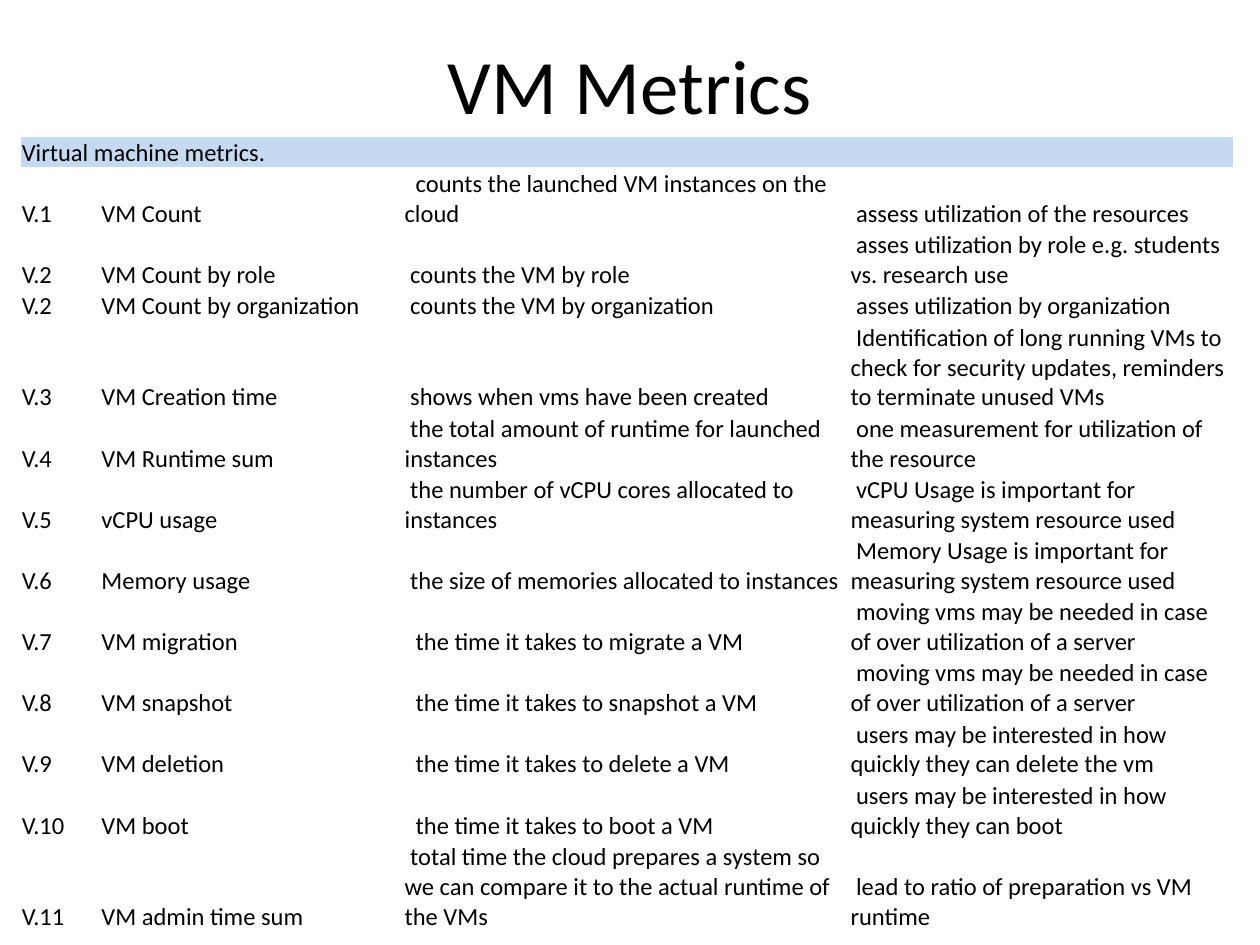
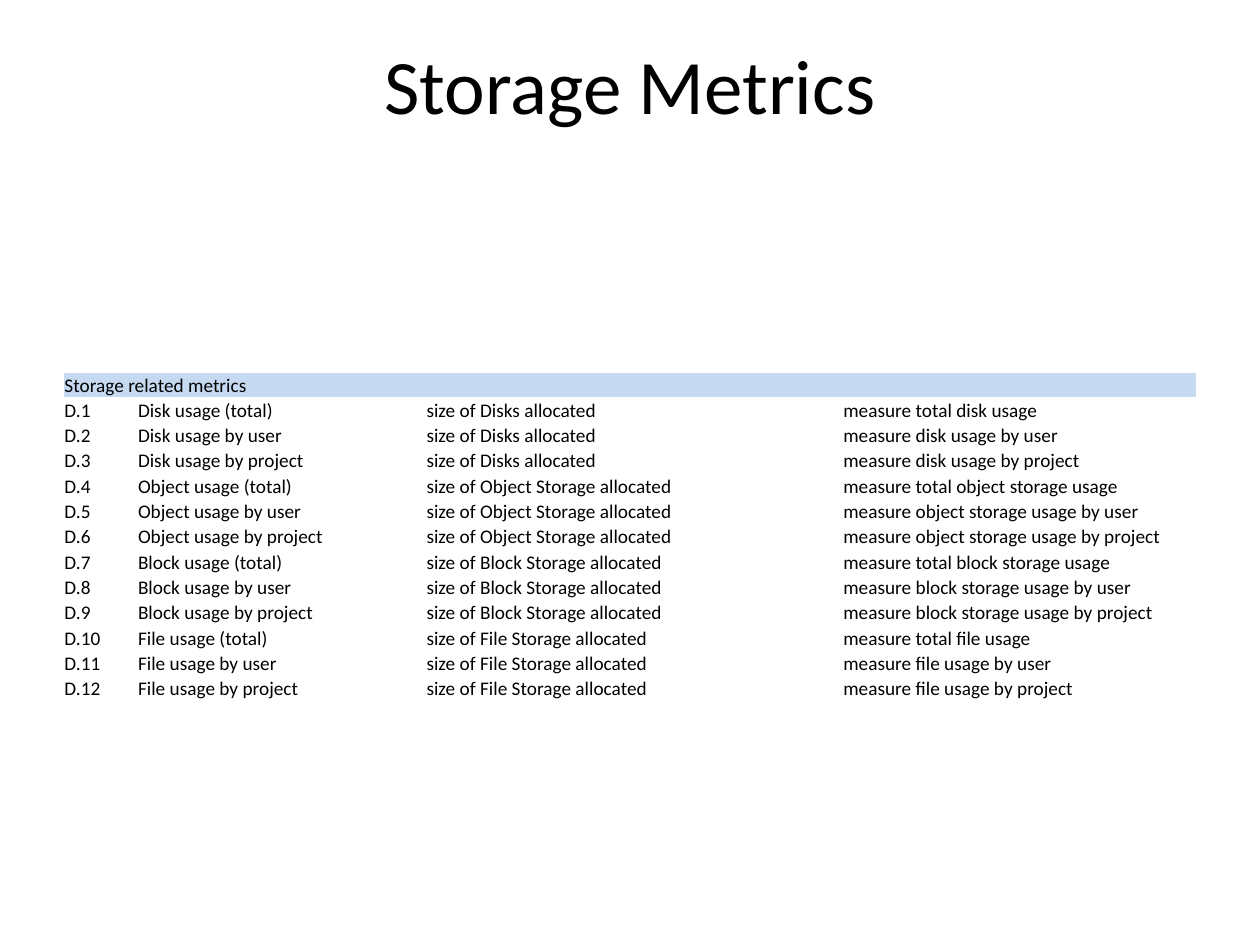
"""Build two slides listing virtual machine and storage metrics."""
from itertools import product

from pptx import Presentation
from pptx.dml.color import RGBColor
from pptx.enum.text import MSO_ANCHOR, PP_ALIGN
from pptx.util import Cm, Pt

BLACK = RGBColor(0x00, 0x00, 0x00)
BAND_BLUE = RGBColor(0xC5, 0xD9, 0xF1)
BOTTOM, MIDDLE = MSO_ANCHOR.BOTTOM, MSO_ANCHOR.MIDDLE
CENTER = PP_ALIGN.CENTER
TITLE_ONLY = 5
COLUMN_SHARES = (0.061, 0.2545, 0.3675, 0.317)
SPACE_EM = 0.226

VM_METRICS = [
    ("V.1", "VM Count", "counts the launched VM instances on the cloud",
     "assess utilization of the resources"),
    ("V.2", "VM Count by role", "counts the VM by role",
     "asses utilization by role e.g. students vs. research use"),
    ("V.2", "VM Count by organization", "counts the VM by organization",
     "asses utilization by organization"),
    ("V.3", "VM Creation time", "shows when vms have been created",
     "Identification of long running VMs to check for security updates, "
     "reminders to terminate unused VMs"),
    ("V.4", "VM Runtime sum", "the total amount of runtime for launched instances",
     "one measurement for utilization of the resource"),
    ("V.5", "vCPU usage", "the number of vCPU cores allocated to instances",
     "vCPU Usage is important for measuring system resource used"),
    ("V.6", "Memory usage", "the size of memories allocated to instances",
     "Memory Usage is important for measuring system resource used"),
    ("V.7", "VM migration", "the time it takes to migrate a VM",
     "moving vms may be needed in case of over utilization of a server"),
    ("V.8", "VM snapshot", "the time it takes to snapshot a VM",
     "moving vms may be needed in case of over utilization of a server"),
    ("V.9", "VM deletion", "the time it takes to delete a VM",
     "users may be interested in how quickly they can delete the vm"),
    ("V.10", "VM boot", "the time it takes to boot a VM",
     "users may be interested in how quickly they can boot"),
    ("V.11", "VM admin time sum",
     "total time the cloud prepares a system so we can compare it to the "
     "actual runtime of the VMs",
     "lead to ratio of preparation vs VM runtime"),
]
DEEP_VM_CELLS = {(row, 2) for row in (1, 8, 9, 10, 11)}

STORAGE_KINDS = [
    ("Disk", "Disks", "disk"),
    ("Object", "Object Storage", "object storage"),
    ("Block", "Block Storage", "block storage"),
    ("File", "File Storage", "file"),
]
STORAGE_SCOPES = ["total", "user", "project"]


def storage_metrics():
    rows = []
    for number, (kind, scope) in enumerate(product(STORAGE_KINDS, STORAGE_SCOPES), 1):
        name, resource, measured = kind
        if scope == "total":
            label, purpose = f"{name} usage (total)", f"measure total {measured} usage"
        else:
            label, purpose = f"{name} usage by {scope}", f"measure {measured} usage by {scope}"
        rows.append((f"D.{number}", label, f"size of {resource} allocated", purpose))
    return rows


class MetricsDeck:
    def __init__(self):
        self.deck = Presentation()
        self.deck.slide_width, self.deck.slide_height = Cm(25.4), Cm(19.05)
        self.page = None

    def format_text(self, frame, size):
        for para in frame.paragraphs:
            for span in para.runs:
                span.font.name = "Calibri"
                span.font.size = Pt(size)
                span.font.color.rgb = BLACK

    def add_page(self, heading):
        self.page = self.deck.slides.add_slide(self.deck.slide_layouts[TITLE_ONLY])
        title = self.page.shapes.title
        title.left, title.top, title.width, title.height = Cm(1.27), Cm(0.1), Cm(22.86), Cm(3.18)
        title.text_frame.text = heading
        title.text_frame.vertical_anchor = MIDDLE
        title.text_frame.paragraphs[0].alignment = CENTER
        self.format_text(title.text_frame, 44)

    def fill_cell(self, cell, text, size, indent=0.0):
        cell.text_frame.text = text
        cell.vertical_anchor = BOTTOM
        cell.margin_left = cell.margin_right = cell.margin_top = Cm(0.03)
        cell.margin_bottom = 0
        cell.fill.background()
        self.format_text(cell.text_frame, size)
        if indent:
            properties = cell.text_frame.paragraphs[0]._p.get_or_add_pPr()
            properties.set("marL", "0")
            properties.set("indent", str(Pt(indent)))

    def add_metrics(self, caption, rows, left, top, width, size, deep_cells=()):
        row_height = Cm(0.49)
        table = self.page.shapes.add_table(
            len(rows) + 1, len(COLUMN_SHARES), Cm(left), Cm(top), Cm(width),
            row_height * (len(rows) + 1)).table
        table.first_row = table.horz_banding = False
        for column, share in zip(table.columns, COLUMN_SHARES):
            column.width = Cm(width * share)
        for row in table.rows:
            row.height = row_height

        header = table.cell(0, 0)
        header.merge(table.cell(0, len(COLUMN_SHARES) - 1))
        self.fill_cell(header, caption, size)
        header.fill.solid()
        header.fill.fore_color.rgb = BAND_BLUE

        for row_index, metric in enumerate(rows, 1):
            for column_index, text in enumerate(metric):
                spaces = min(column_index, 1) + ((row_index, column_index) in deep_cells)
                self.fill_cell(table.cell(row_index, column_index), text, size,
                               spaces * SPACE_EM * size)


def main():
    metrics = MetricsDeck()
    metrics.add_page("VM Metrics")
    metrics.add_metrics("Virtual machine metrics.", VM_METRICS, 0.41, 2.75, 24.46, 14,
                        DEEP_VM_CELLS)
    metrics.add_page("Storage Metrics")
    metrics.add_metrics("Storage related metrics", storage_metrics(), 1.27, 7.5, 22.86, 11)
    metrics.deck.save("out.pptx")


if __name__ == "__main__":
    main()
